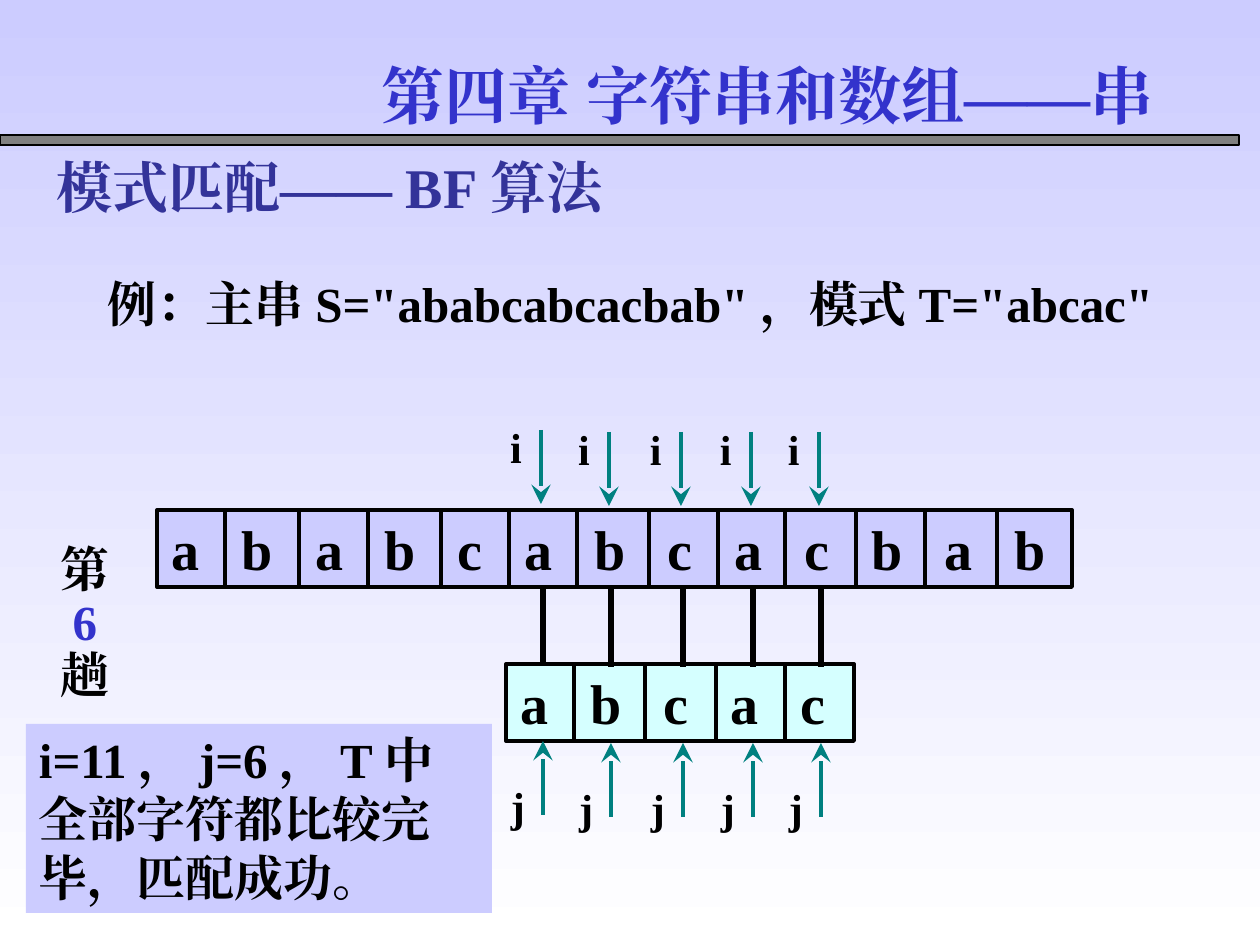
from itertools import accumulate

from lxml import etree
from pptx import Presentation
from pptx import util as u
from pptx.dml.color import RGBColor
from pptx.enum import shapes, text
from pptx.oxml.ns import qn

TITLE = "第四章 字符串和数组——串"
HEADING = "模式匹配——BF算法"
EXAMPLE = '例：主串S="ababcabcacbab"，模式T="abcac"'
RESULT = "i=11，j=6，T中全部字符都比较完毕，匹配成功。"
PASS_LABEL = [("第", "ink"), ("6", "title"), ("趟", "ink")]

# letters, box, fill, divider positions
STRINGS = [
    ("ababcabcacbab", (157, 510, 915, 77), "lavender",
     (225, 299, 368, 441, 509, 577, 649, 718, 785, 856, 925, 997)),
    ("abcac", (506, 664, 348, 77), "mint", (574, 645, 716, 785)),
]
# each compared column: x and downward shift
COLUMNS = [(543, 0), (611, 2), (683, 2), (753, 2), (821, 2)]

ADVANCE = {"a": 70, "b": 73, "c": 67}  # letter width plus gap
THEME = {
    "font": "Times New Roman",
    "ink": "000000", "title": "3333CC", "heading": "333399",
    "lavender": "CCCCFF", "white": "FFFFFF", "mint": "D5FFFF",
    "teal": "008080", "grey": "808080",
    "title_pt": 36, "large_pt": 32, "body_pt": 28, "index_pt": 24,
}
SCALE = 914400 // 126


def px(n):
    return u.Emu(n * SCALE)


def color(name):
    return RGBColor.from_string(THEME[name])


def style(p, size, ink="ink"):
    p.font.size = u.Pt(THEME[size])
    p.font.bold = True
    p.font.name = THEME["font"]
    p.font.color.rgb = color(ink)
    latin = p.font._element.find(qn("a:latin"))
    ea = etree.Element(qn("a:ea"), typeface=THEME["font"])
    latin.addnext(ea)


def write(tf, words, size, ink="ink", inset=(13, 6, 13, 6)):
    tf.word_wrap = True
    tf.auto_size = text.MSO_AUTO_SIZE.NONE
    tf.vertical_anchor = text.MSO_ANCHOR.TOP
    tf.margin_left, tf.margin_top, tf.margin_right, tf.margin_bottom = map(px, inset)
    p = tf.paragraphs[0]
    p.alignment = text.PP_ALIGN.LEFT
    p.add_run().text = words
    style(p, size, ink)
    return p


def text_box(parent, box, *args, **kwargs):
    sp = parent.add_textbox(*map(px, box))
    write(sp.text_frame, *args, **kwargs)


def rect(s, box, fill, weight=0):
    sp = s.shapes.add_shape(shapes.MSO_SHAPE.RECTANGLE, *map(px, box))
    sp.shadow.inherit = False
    sp.fill.solid()
    sp.fill.fore_color.rgb = color(fill)
    if weight:
        sp.line.color.rgb = color("ink")
        sp.line.width = u.Pt(weight)
    else:
        sp.line.fill.background()
    return sp


def vline(parent, x, top, end, ink="ink", weight=2.25, arrow=False):
    c = parent.add_connector(shapes.MSO_CONNECTOR.STRAIGHT, px(x), px(top), px(x), px(end))
    c.line.color.rgb = color(ink)
    c.line.width = u.Pt(weight)
    if arrow:
        etree.SubElement(c.line._get_or_add_ln(), qn("a:tailEnd"),
                         type="stealth", w="lg", len="lg")
    etree.SubElement(c._element.spPr, qn("a:effectLst"))


def string_bar(s, letters, box, fill, dividers):
    """Draw one string as a bar, its letters set on tab stops."""
    sp = rect(s, box, fill, 2.25)
    tf = sp.text_frame
    p = tf.paragraphs[0]
    tabs = etree.SubElement(p._p.get_or_add_pPr(), qn("a:tabLst"))
    for stop in accumulate(ADVANCE[ch] for ch in letters[:-1]):
        etree.SubElement(tabs, qn("a:tab"), pos=str(px(stop)), algn="l")
    write(tf, "\t".join(letters), "large_pt", inset=(15, 0, 3, 0))
    tf.vertical_anchor = text.MSO_ANCHOR.MIDDLE
    _, top, _, height = box
    for x in dividers:
        vline(s.shapes, x, top, top + height)


def column(s, x, dy):
    """Draw the match line of one column with its i and j pointers."""
    g = s.shapes.add_group_shape().shapes
    vline(g, x, 587 + dy, 665 + dy, weight=3)
    vline(g, x - 2, 430 + dy, 504 + dy, "teal", arrow=True)
    vline(g, x, 815 + dy, 741 + dy, "teal", arrow=True)
    for letter, left, top in (("i", x - 33, 416), ("j", x - 32, 775)):
        text_box(g, (left, top + dy, 32, 63), letter, "index_pt", inset=(0, 6, 0, 6))


def title(s):
    sp = s.shapes.title
    sp.left, sp.top, sp.width, sp.height = map(px, (369, 50, 891, 88))
    p = write(sp.text_frame, TITLE, "title_pt", "title")
    effects = etree.SubElement(p.runs[0].font._element, qn("a:effectLst"))
    shadow = etree.SubElement(effects, qn("a:outerShdw"), dist="25400", dir="2700000")
    etree.SubElement(shadow, qn("a:srgbClr"), val=THEME["grey"])


def pass_label(s):
    sp = s.shapes.add_textbox(*map(px, (47, 539, 89, 171)))
    tf = sp.text_frame
    first, *rest = PASS_LABEL
    write(tf, first[0], "body_pt", first[1], (13, 6, 26, 6))
    for words, ink in rest:
        p = tf.add_paragraph()
        p.add_run().text = words
        style(p, "body_pt", ink)
    for p in tf.paragraphs:
        p.alignment = text.PP_ALIGN.CENTER
        p.line_spacing = 0.9


def main():
    prs = Presentation()
    prs.slide_width, prs.slide_height = px(1260), px(945)
    s = prs.slides.add_slide(prs.slide_layouts[5])
    fill = s.background.fill
    fill.gradient()
    fill.gradient_angle = 270
    for stop, name in zip(fill.gradient_stops, ("lavender", "white")):
        stop.color.rgb = color(name)

    rect(s, (0, 135, 1239, 10), "grey", 0.75)
    title(s)
    text_box(s.shapes, (43, 147, 1029, 81), HEADING, "large_pt", "heading")
    text_box(s.shapes, (95, 268, 1124, 72), EXAMPLE, "body_pt")
    for bar in STRINGS:
        string_bar(s, *bar)
    pass_label(s)
    note = rect(s, (26, 724, 466, 189), "lavender")
    write(note.text_frame, RESULT, "body_pt")
    for x, dy in COLUMNS:
        column(s, x, dy)
    prs.save("out.pptx")


if __name__ == "__main__":
    main()
